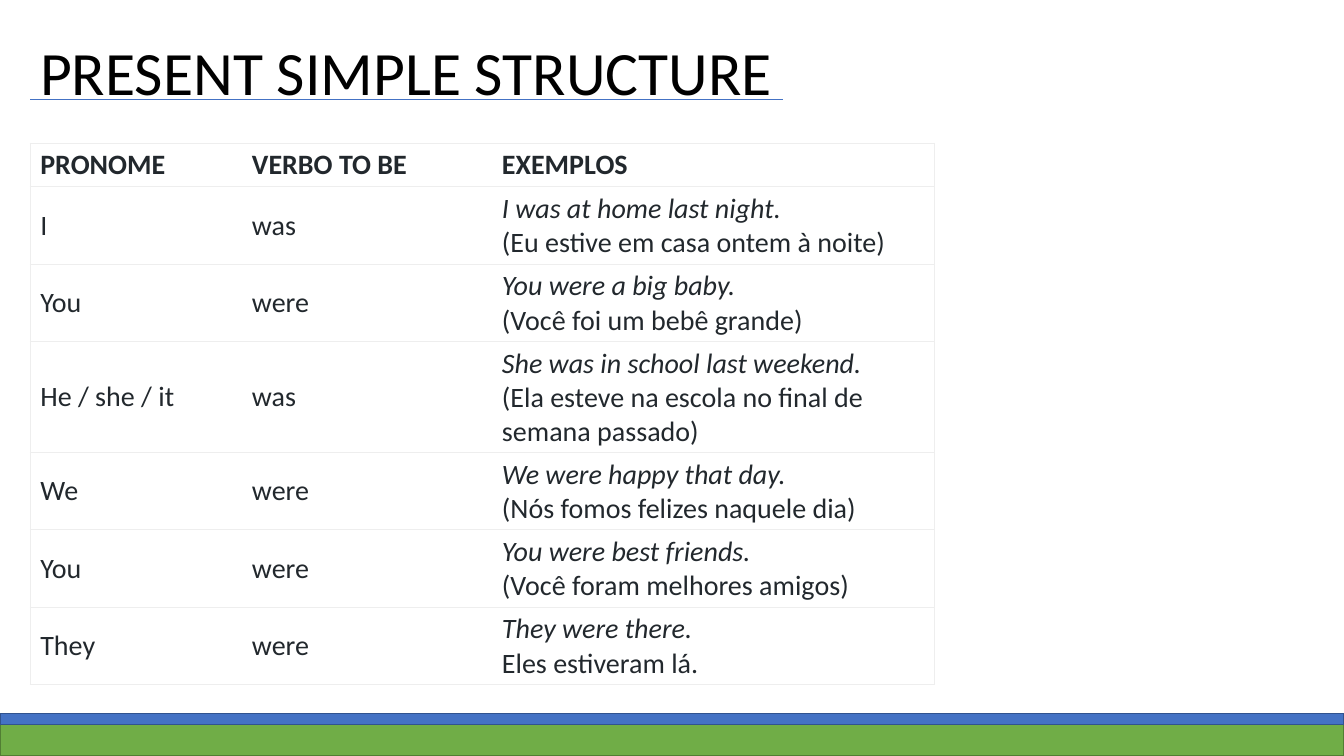
from dataclasses import dataclass

from lxml.etree import SubElement
from pptx import Presentation
from pptx.dml.color import RGBColor
from pptx.enum.shapes import MSO_CONNECTOR, MSO_SHAPE
from pptx.enum.text import MSO_ANCHOR
from pptx.oxml import parse_xml
from pptx.oxml.ns import nsdecls, qn
from pptx.slide import Slide
from pptx.table import _Cell
from pptx.text.text import _Paragraph
from pptx.util import Emu, Inches, Pt

SLIDE_WIDTH, SLIDE_HEIGHT = Inches(13.33), Inches(7.5)
FONT = "Calibri"
INK, BORDER, WHITE = "22282D", "EEEEEE", "FFFFFF"
MARGIN = 2.25
COLUMN_SHARES = (15.75, 18.6, 32.93)
HEADER_SHARE, ROW_SHARE, TALL_ROW_SHARE = 5.33, 9.07, 12.93


@dataclass(frozen=True)
class Band:
    top: float
    height: float
    fill: str
    outline: str


@dataclass(frozen=True)
class VerbRow:
    pronoun: str
    verb: str
    example: str
    translation: str
    height: float = ROW_SHARE


BANDS = (
    Band(95.87, 4.13, "70AD47", "517E33"),
    Band(94.4, 1.47, "4472C4", "31538F"),
)
HEADINGS = ("PRONOME", "VERBO TO BE", "EXEMPLOS")
VERB_ROWS = (
    VerbRow("I", "was", "I was at home last night.", "(Eu estive em casa ontem à noite)"),
    VerbRow("You", "were", "You were a big baby.", "(Você foi um bebê grande)"),
    VerbRow("He / she / it", "was", "She was in school last weekend.",
            "(Ela esteve na escola no final de semana passado)", TALL_ROW_SHARE),
    VerbRow("We", "were", "We were happy that day.", "(Nós fomos felizes naquele dia)"),
    VerbRow("You", "were", "You were best friends.", "(Você foram melhores amigos)"),
    VerbRow("They", "were", "They were there.", "Eles estiveram lá."),
)


def across(percent: float) -> Emu:
    return Emu(round(SLIDE_WIDTH * percent / 100))


def down(percent: float) -> Emu:
    return Emu(round(SLIDE_HEIGHT * percent / 100))


def color(value: str) -> RGBColor:
    return RGBColor.from_string(value)


def write(paragraph: _Paragraph, text: str, *, size: float = 20, ink: str = INK,
          bold: bool = False, italic: bool = False) -> None:
    run = paragraph.add_run()
    run.text = text
    font = run.font
    font.name, font.size = FONT, Pt(size)
    font.bold, font.italic = bold, italic
    font.color.rgb = color(ink)


def add_title(slide: Slide, text: str) -> None:
    box = slide.shapes.add_textbox(across(MARGIN), down(0.27), across(86.27), down(19.33))
    frame = box.text_frame
    frame.word_wrap = True
    frame.vertical_anchor = MSO_ANCHOR.MIDDLE
    paragraph = frame.paragraphs[0]
    paragraph.line_spacing = 0.9
    write(paragraph, text, size=44, ink="000000")


def add_band(slide: Slide, band: Band) -> None:
    shape = slide.shapes.add_shape(
        MSO_SHAPE.RECTANGLE, 0, down(band.top), SLIDE_WIDTH, down(band.height))
    shape.shadow.inherit = False
    shape.fill.solid()
    shape.fill.fore_color.rgb = color(band.fill)
    shape.line.color.rgb = color(band.outline)
    shape.line.width = Pt(1)


def add_underline(slide: Slide) -> None:
    line = slide.shapes.add_connector(
        MSO_CONNECTOR.STRAIGHT, across(MARGIN), down(13.2), across(58.29), down(13.2))
    line.line.color.rgb = color("4472C4")
    line.line.width = Pt(0.75)
    SubElement(line._element.spPr, qn("a:effectLst"))


def style_cell(cell: _Cell, visible_sides: str) -> None:
    cell.vertical_anchor = MSO_ANCHOR.MIDDLE
    properties = cell._tc.get_or_add_tcPr()
    for side in "LRTB":
        paint = "<a:noFill/>"
        if side in visible_sides:
            paint = f'<a:solidFill><a:srgbClr val="{BORDER}"/></a:solidFill>'
        properties.append(parse_xml(
            f'<a:ln{side} {nsdecls("a")} w="{Pt(0.6)}">{paint}</a:ln{side}>'))
    cell.fill.solid()
    cell.fill.fore_color.rgb = color(WHITE)


def add_verb_table(slide: Slide) -> None:
    heights = (HEADER_SHARE, *(row.height for row in VERB_ROWS))
    table = slide.shapes.add_table(
        len(heights), len(COLUMN_SHARES), across(MARGIN), down(18.93),
        across(sum(COLUMN_SHARES)), down(sum(heights))).table
    for column, share in zip(table.columns, COLUMN_SHARES):
        column.width = across(share)
    for row, share in zip(table.rows, heights):
        row.height = down(share)
        for cell, sides in zip(row.cells, ("LTB", "TB", "RTB")):
            style_cell(cell, sides)
    for cell, heading in zip(table.rows[0].cells, HEADINGS):
        write(cell.text_frame.paragraphs[0], heading, bold=True)
    for index, row in enumerate(VERB_ROWS, start=1):
        pronoun, verb, example = (cell.text_frame for cell in table.rows[index].cells)
        write(pronoun.paragraphs[0], row.pronoun)
        write(verb.paragraphs[0], row.verb)
        write(example.paragraphs[0], row.example, italic=True)
        write(example.add_paragraph(), row.translation)


def main() -> None:
    """Build the verb structure slide and save it."""
    presentation = Presentation()
    presentation.slide_width, presentation.slide_height = SLIDE_WIDTH, SLIDE_HEIGHT
    slide = presentation.slides.add_slide(presentation.slide_layouts[6])
    add_title(slide, "PRESENT SIMPLE STRUCTURE")
    for band in BANDS:
        add_band(slide, band)
    add_underline(slide)
    add_verb_table(slide)
    presentation.save("out.pptx")


if __name__ == "__main__":
    main()
